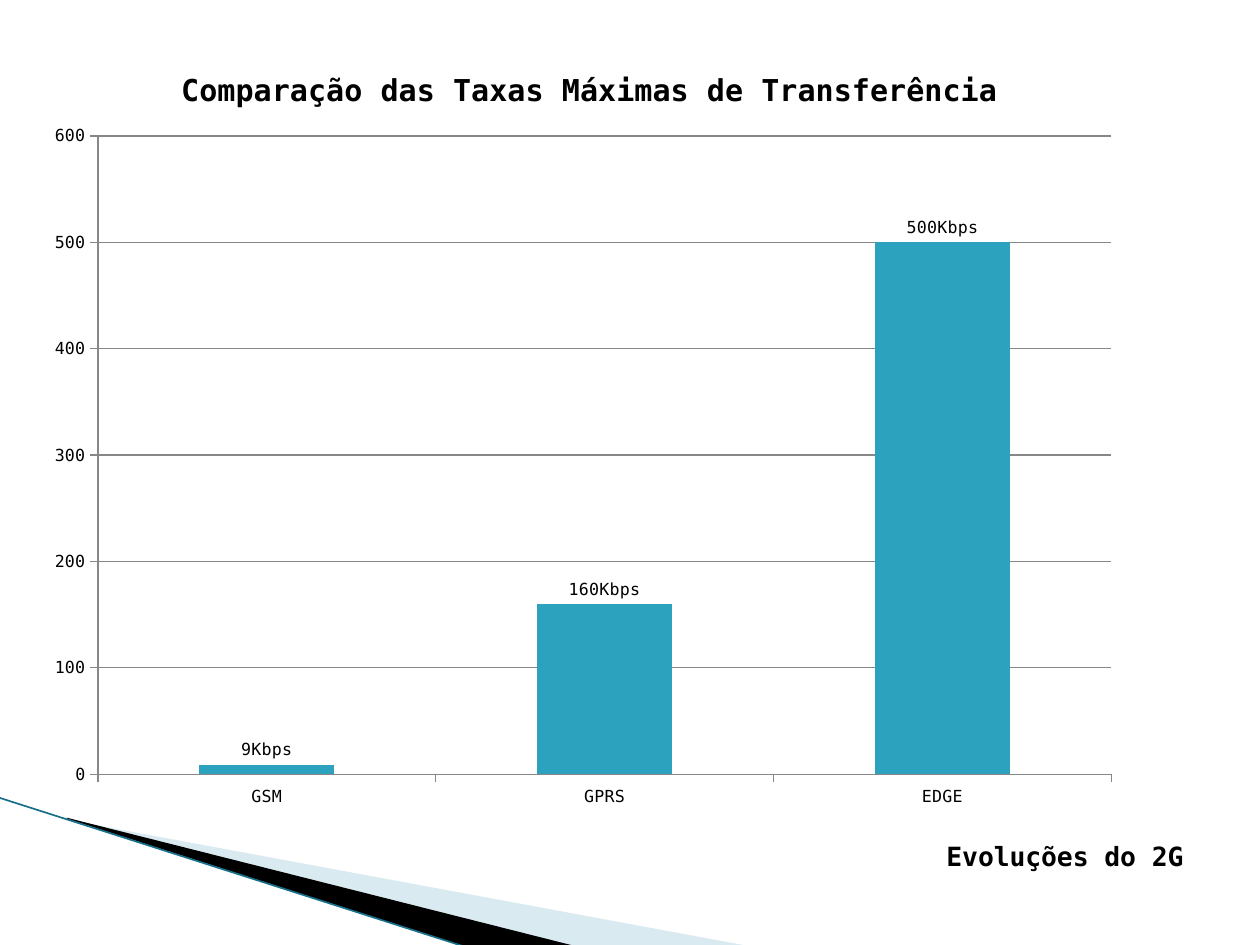
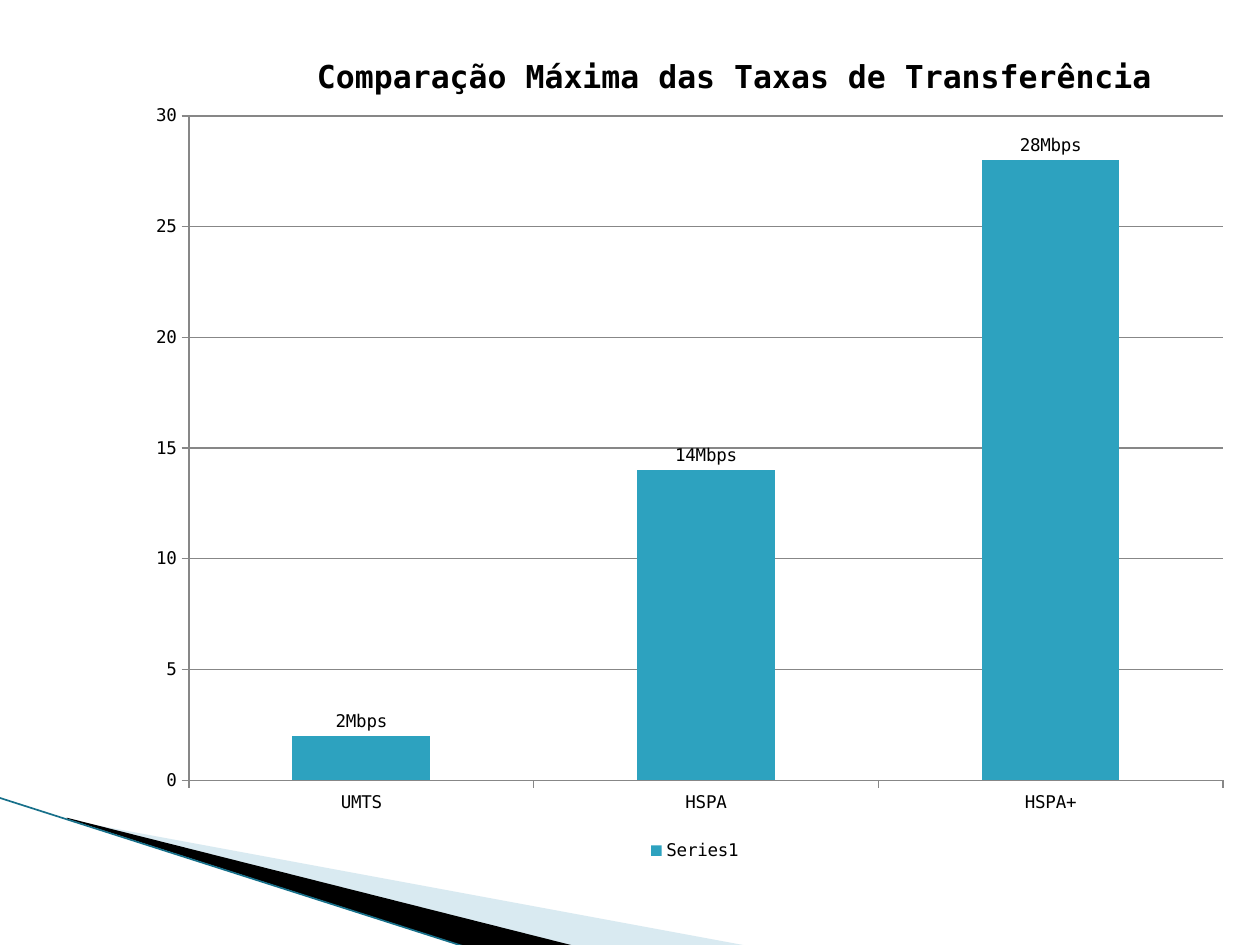
from lxml.etree import SubElement
from pptx import Presentation
from pptx.chart.data import CategoryChartData
from pptx.dml.color import RGBColor
from pptx.enum.chart import XL_CHART_TYPE, XL_LABEL_POSITION, XL_LEGEND_POSITION, XL_TICK_MARK
from pptx.enum.shapes import MSO_CONNECTOR
from pptx.oxml import parse_xml
from pptx.oxml.ns import nsdecls, qn
from pptx.util import Inches, Pt

FONT = "DejaVu Sans Mono"
COLORS = {"text": "000000", "bar": "2DA2BF", "axis": "878787",
          "light": "A0CBDC", "dark": "000000", "edge": "17708A"}
WIDTH, HEIGHT = Inches(10), Inches(7.5)
COLUMN, ROW = WIDTH / 100, HEIGHT / 100

LIGHT_WEDGE = [(5.5, 86.8), (59.5, 100.13), (45.6, 100.13), (5.5, 86.67)]
DARK_WEDGE = [(5.3, 86.53), (45.7, 100.13), (37.2, 100.27), (5.4, 86.67)]
EDGE_LINE = [(-0.1, 84.4), (37.1, 100.27)]

CHARTS = [
    {"title": "Comparação das Taxas Máximas de Transferência", "title_size": 17.2,
     "title_at": (12.2, 3.3), "frame": (2.8, 3.87, 91.5, 90.67),
     "plot": (5.44, 11.6, 88, 74.5), "size": 9.5, "unit": "Kbps", "series": "Series 1",
     "rates": {"GSM": 9, "GPRS": 160, "EDGE": 500}, "top": 600, "step": 100,
     "axis_title": "Evoluções do 2G", "axis_title_at": (78.7, 93)},
    {"title": "Comparação Máxima das Taxas de Transferência", "title_size": 18,
     "title_at": (16, 4), "frame": (10.6, 1.73, 88.2, 90.13),
     "plot": (5, 11.7, 93.03, 78), "size": 10, "unit": "Mbps", "series": "Series1",
     "rates": {"UMTS": 2, "HSPA": 14, "HSPA+": 28}, "top": 30, "step": 5,
     "legend_at": (45.5, 96.7, 10, 3.2)},
]


def color(value):
    return RGBColor.from_string(value)


def apply_format(target, values):
    for name, value in values.items():
        setattr(target, name, value)


def format_font(font, size, bold=False):
    apply_format(font, {"name": FONT, "size": Pt(size), "bold": bold})
    font.color.rgb = color(COLORS["text"])


def format_line(line, value, width=0.75):
    line.color.rgb = color(value)
    line.width = Pt(width)


def on_grid(point):
    return round(point[0] * COLUMN), round(point[1] * ROW)


def add_wedge(slide, points, fill, opacity=100):
    start, *others = [on_grid(point) for point in points]
    builder = slide.shapes.build_freeform(*start)
    builder.add_line_segments(others)
    shape = builder.convert_to_shape()
    shape.shadow.inherit = False
    shape.fill.solid()
    shape.fill.fore_color.rgb = color(fill)
    shape.line.fill.background()
    solid = shape.fill.fore_color._xFill.find(qn("a:srgbClr"))
    SubElement(solid, qn("a:alpha"), val=str(opacity * 1000))


def add_corner(slide):
    add_wedge(slide, LIGHT_WEDGE, COLORS["light"], 40)
    add_wedge(slide, DARK_WEDGE, COLORS["dark"])
    start, end = map(on_grid, EDGE_LINE)
    connector = slide.shapes.add_connector(MSO_CONNECTOR.STRAIGHT, *start, *end)
    format_line(connector.line, COLORS["edge"], 0.95)
    SubElement(connector._element.spPr, qn("a:effectLst"))


def place(element, index, shares, inner=False):
    for layout in element.findall(qn("c:layout")):
        element.remove(layout)
    names = ("x", "y", "w", "h")[:len(shares)]
    target = '<c:layoutTarget val="inner"/>' if inner else ""
    modes = "".join(f'<c:{name}Mode val="edge"/>' for name in names[:2])
    values = "".join(f'<c:{name} val="{share / 100:.4f}"/>' for name, share in zip(names, shares))
    element.insert(index, parse_xml(
        f'<c:layout {nsdecls("c")}><c:manualLayout>{target}{modes}{values}'
        '</c:manualLayout></c:layout>'))


def add_title(owner, title, text, size, position):
    paragraph = title.text_frame.paragraphs[0]
    run = paragraph.add_run()
    run.text = text
    format_font(run.font, size, True)
    place(title._element, 1, position)


def format_axes(chart, content):
    for axis in (chart.category_axis, chart.value_axis):
        apply_format(axis, {"major_tick_mark": XL_TICK_MARK.OUTSIDE,
                            "minor_tick_mark": XL_TICK_MARK.NONE})
        format_line(axis.format.line, COLORS["axis"])
        format_font(axis.tick_labels.font, content["size"])
    apply_format(chart.value_axis, {"minimum_scale": 0, "maximum_scale": content["top"],
                                    "major_unit": content["step"],
                                    "has_major_gridlines": True})
    format_line(chart.value_axis.major_gridlines.format.line, COLORS["axis"])


def format_bars(plot, content):
    apply_format(plot, {"gap_width": 150, "vary_by_categories": False,
                        "has_data_labels": True})
    fill = plot.series[0].format.fill
    fill.solid()
    fill.fore_color.rgb = color(COLORS["bar"])
    apply_format(plot.data_labels, {"show_value": True,
                                    "position": XL_LABEL_POSITION.OUTSIDE_END,
                                    "number_format": f'0"{content["unit"]}"',
                                    "number_format_is_linked": False})
    format_font(plot.data_labels.font, content["size"])


def add_legend(chart, size, position):
    chart.has_legend = True
    apply_format(chart.legend, {"position": XL_LEGEND_POSITION.BOTTOM,
                                "include_in_layout": False})
    format_font(chart.legend.font, size)
    place(chart.legend._element, 1, position)


def add_rate_chart(slide, content):
    data = CategoryChartData()
    data.categories = list(content["rates"])
    data.add_series(content["series"], list(content["rates"].values()))
    left, top, width, height = content["frame"]
    chart = slide.shapes.add_chart(XL_CHART_TYPE.COLUMN_CLUSTERED, *on_grid((left, top)),
                                   *on_grid((width, height)), data).chart
    format_font(chart.font, content["size"])
    chart.has_legend = False
    add_title(chart, chart.chart_title, content["title"], content["title_size"],
              content["title_at"])
    format_axes(chart, content)
    format_bars(chart.plots[0], content)
    place(chart._chartSpace.chart.plotArea, 0, content["plot"], True)
    if "axis_title" in content:
        add_title(chart, chart.category_axis.axis_title, content["axis_title"], 15.1,
                  content["axis_title_at"])
    if "legend_at" in content:
        add_legend(chart, content["size"], content["legend_at"])


def main():
    presentation = Presentation()
    apply_format(presentation, {"slide_width": WIDTH, "slide_height": HEIGHT})
    for content in CHARTS:
        slide = presentation.slides.add_slide(presentation.slide_layouts[6])
        add_corner(slide)
        add_rate_chart(slide, content)
    presentation.save("out.pptx")


if __name__ == "__main__":
    main()
